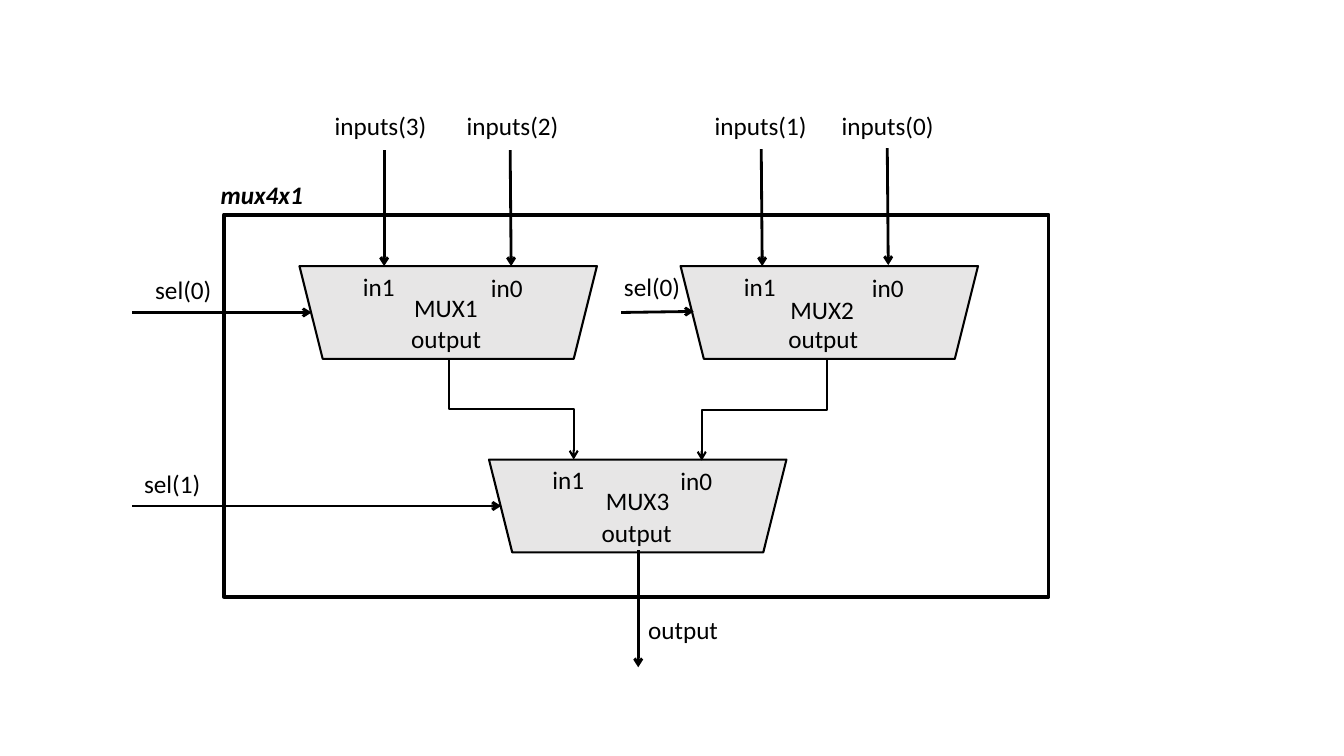
"""Build a slide with a 4-to-1 multiplexer made of three 2-to-1 multiplexers."""
import pptx
import pptx.dml.color
import pptx.enum.shapes
import pptx.oxml
import pptx.oxml.ns
import pptx.util

Inches = pptx.util.Inches
Pt = pptx.util.Pt
SHAPE = pptx.enum.shapes.MSO_SHAPE
CONNECTOR = pptx.enum.shapes.MSO_CONNECTOR
BLACK = pptx.dml.color.RGBColor(0x00, 0x00, 0x00)
GRAY = pptx.dml.color.RGBColor(0xE7, 0xE6, 0xE6)
MUX_WIDTH, MUX_HEIGHT = 2.95, 0.92


def add_label(shapes, text, left, top, width=1.12, emphasis=None):
    label = shapes.add_textbox(Inches(left), Inches(top), Inches(width), Inches(0.4))
    label.text_frame.word_wrap = True
    paragraph = label.text_frame.paragraphs[0]
    paragraph.text = text
    paragraph.font.name = "Calibri"
    paragraph.font.size = Pt(18)
    paragraph.font.color.rgb = BLACK
    paragraph.font.bold = paragraph.font.italic = emphasis


def add_arrow(kind, start_x, start_y, end_x, end_y, weight):
    arrow = slide.shapes.add_connector(
        kind, Inches(start_x), Inches(start_y), Inches(end_x), Inches(end_y))
    arrow.line.color.rgb = BLACK
    arrow.line.width = Pt(weight)
    line = arrow.line._get_or_add_ln()
    pptx.oxml.ns.qn("a:tailEnd")
    head = line.makeelement(pptx.oxml.ns.qn("a:tailEnd"), {"type": "arrow"})
    line.append(head)
    properties = arrow._element.spPr
    properties.append(properties.makeelement(pptx.oxml.ns.qn("a:effectLst"), {}))
    return arrow


presentation = pptx.Presentation()
presentation.slide_width = Inches(13.33)
presentation.slide_height = Inches(7.5)
slide = presentation.slides.add_slide(presentation.slide_layouts[6])

muxes = [
    ("MUX1", 2.97, 2.64, 4.01, 2.85, 3.98, 0.9),
    ("MUX2", 6.75, 2.64, 7.74, 2.87, 7.72, 0.96),
    ("MUX3", 4.85, 4.56, 5.91, 4.77, 5.87, 0.93),
]
for name, left, top, name_left, name_top, output_left, output_width in muxes:
    group = slide.shapes.add_group_shape()
    body = group.shapes.add_shape(
        SHAPE.TRAPEZOID, Inches(left), Inches(top), Inches(MUX_WIDTH), Inches(MUX_HEIGHT))
    body.rotation = 180
    body.shadow.inherit = False
    body.fill.solid()
    body.fill.fore_color.rgb = GRAY
    body.line.color.rgb = BLACK
    body.line.width = Pt(1.5)
    add_label(group.shapes, "in1", left + 0.53, top, 0.62)
    add_label(group.shapes, "in0", left + 1.8, top + 0.01, 0.62)
    add_label(group.shapes, "output", output_left, top + 0.52, output_width)
    add_label(slide.shapes, name, name_left, name_top, 1.55)

for start_x, start_y, end_x, end_y in [(4.45, 3.56, 5.69, 4.56), (8.2, 3.56, 6.96, 4.57)]:
    center_x, center_y = (start_x + end_x) / 2, (start_y + end_y) / 2
    half_length, half_span = (end_y - start_y) / 2, abs(end_x - start_x) / 2
    direction = -1 if end_x > start_x else 1
    wire = add_arrow(
        CONNECTOR.ELBOW,
        center_x - direction * half_length, center_y - half_span,
        center_x + direction * half_length, center_y + half_span, 1.5)
    transform = wire._element.spPr.find(pptx.oxml.ns.qn("a:xfrm"))
    transform.set("rot", str(direction * 90 % 360 * 60000))

frame = slide.shapes.add_shape(
    SHAPE.RECTANGLE, Inches(2.22), Inches(2.13), Inches(8.18), Inches(3.79))
frame.shadow.inherit = False
frame.fill.background()
frame.line.color.rgb = BLACK
frame.line.width = Pt(2.75)

signals = [
    (3.81, 1.49, 3.81, 2.64),
    (5.06, 1.49, 5.07, 2.64),
    (7.55, 1.48, 7.56, 2.64),
    (8.8, 1.47, 8.81, 2.63),
    (6.33, 5.46, 6.33, 6.62),
    (1.31, 3.1, 3.09, 3.1),
    (1.31, 5.02, 4.97, 5.02),
    (6.16, 3.1, 6.88, 3.09),
]
for signal in signals:
    add_arrow(CONNECTOR.STRAIGHT, *signal, 2)

for index, left in zip((3, 2, 1, 0), (3.22, 4.53, 6.99, 8.25)):
    add_label(slide.shapes, f"inputs({index})", left, 1.05)
for text, left, top in [
    ("sel(0)", 1.44, 2.67),
    ("sel(1)", 1.33, 4.6),
    ("sel(0)", 6.09, 2.64),
    ("output", 6.33, 6.05),
]:
    add_label(slide.shapes, text, left, top)
add_label(slide.shapes, "mux4x1", 2.09, 1.73, emphasis=True)

presentation.save("out.pptx")
